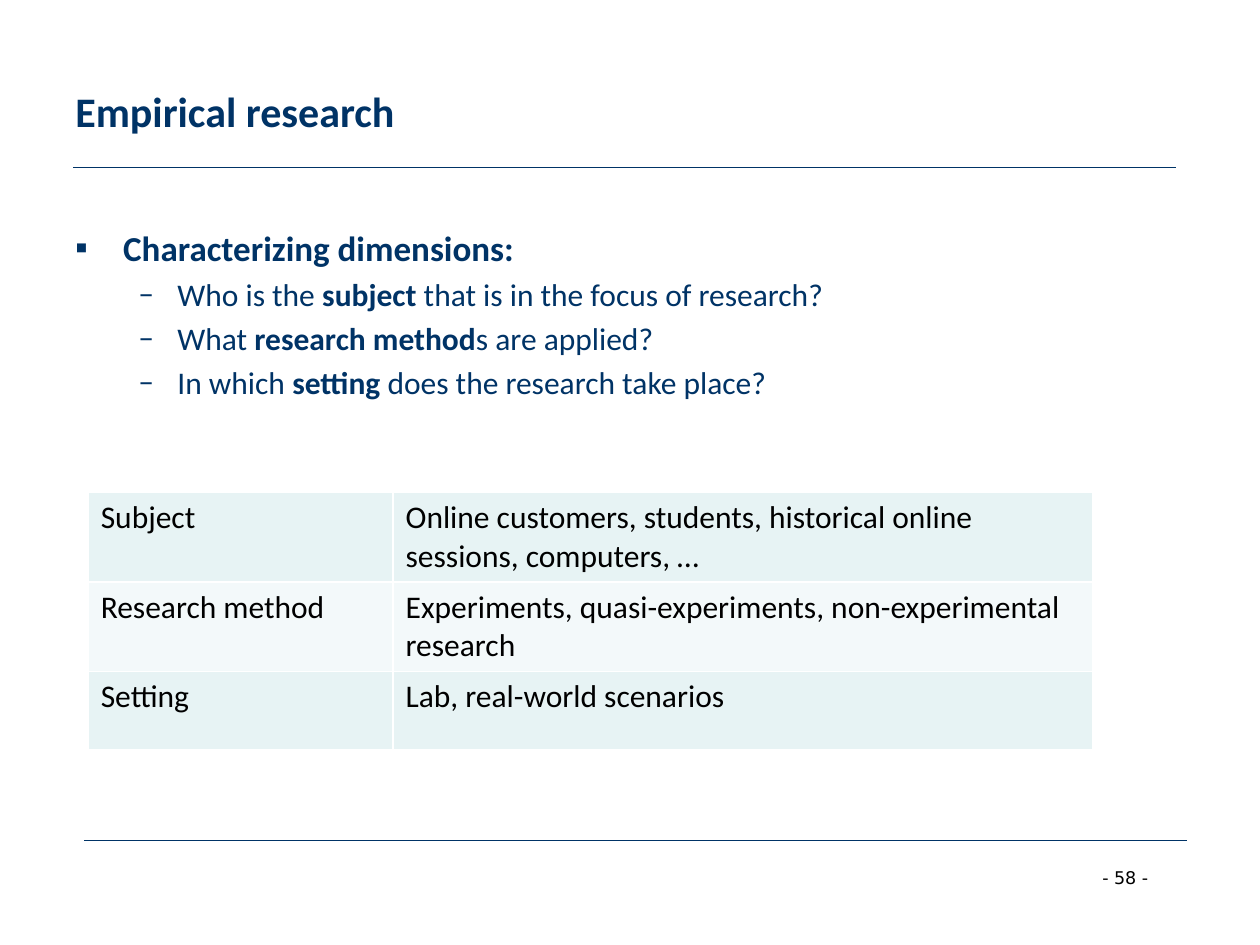
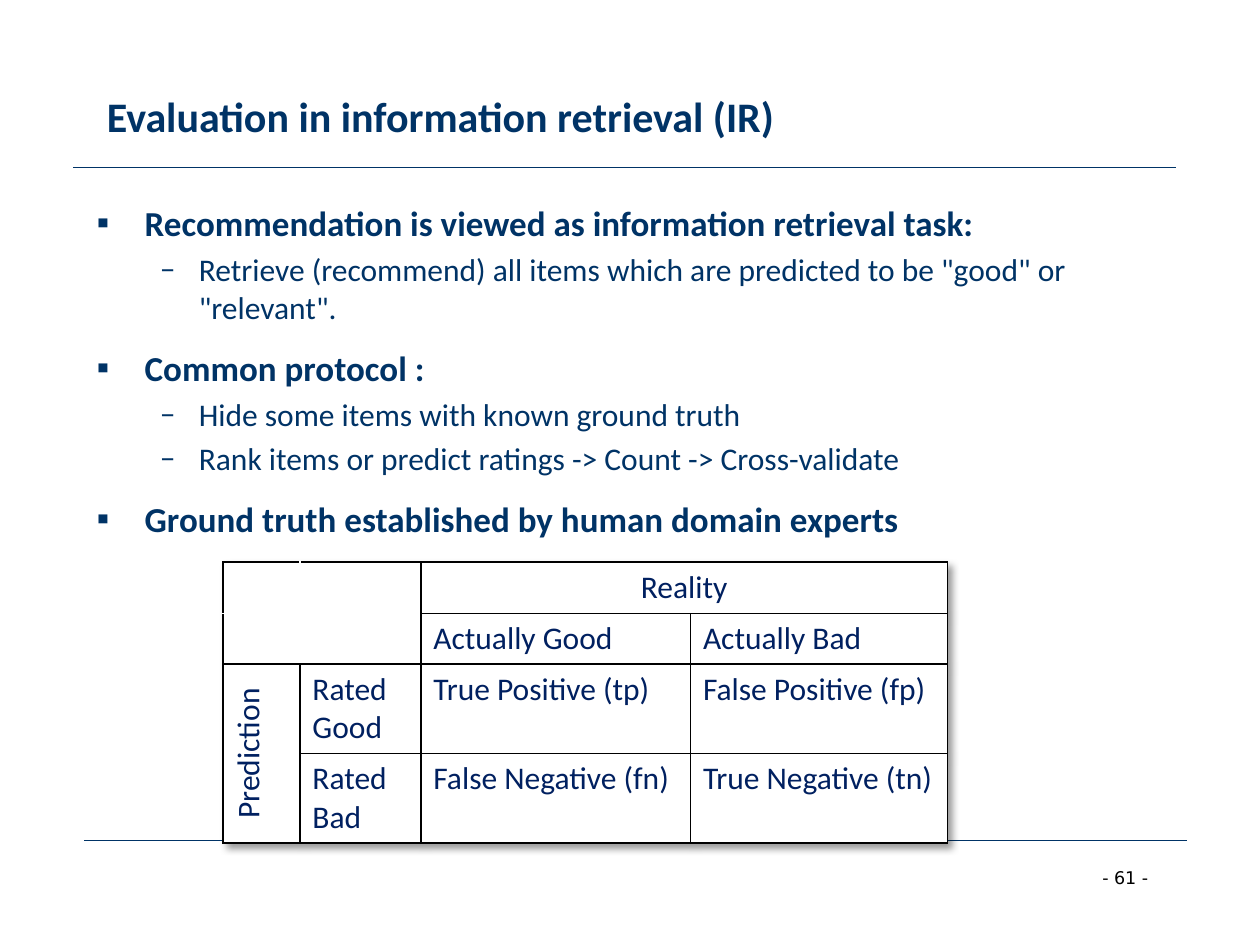
from lxml.etree import SubElement
from pptx import Presentation
from pptx.dml.color import RGBColor
from pptx.enum.shapes import MSO_CONNECTOR
from pptx.enum.text import MSO_ANCHOR, PP_ALIGN
from pptx.oxml import parse_xml
from pptx.oxml.ns import nsdecls, qn
from pptx.util import Pt

PX = 9144
FONT = "Calibri"
INK = {"navy": "003366", "deep": "002060", "black": "000000",
       "white": "FFFFFF", "mint": "E7F3F4", "pale": "F3F9FA"}
LEVELS = [
    {"mark": "▪", "left": 38, "hang": 38, "size": 20, "before": 12, "bold": True},
    {"mark": "–", "left": 81, "hang": 31, "size": 18, "before": 3.6, "bold": False},
]
SHADOW = (f'<a:effectLst {nsdecls("a")}><a:outerShdw blurRad="50800" dist="38100" '
          'dir="2700000" algn="tl" rotWithShape="0"><a:srgbClr val="000000">'
          '<a:alpha val="40000"/></a:srgbClr></a:outerShdw></a:effectLst>')


def write(para, text, size=18, color="navy", bold=False, font=FONT, align=None):
    """Fill a paragraph with text; parts between asterisks switch weight."""
    para.alignment = align
    for turn, part in enumerate(text.split("*")):
        run = para.add_run()
        run.text = part
        run.font.name = font
        run.font.size = Pt(size)
        run.font.bold = bold != bool(turn % 2)
        run.font.color.rgb = RGBColor.from_string(INK[color])


class Deck:
    """Hold the style and the current slide."""

    def __init__(self):
        """Start a 10 by 7.5 inch file."""
        self.file = Presentation()
        self.file.slide_width, self.file.slide_height = 1000 * PX, 750 * PX
        self.slide = None

    def page(self, number, title, box):
        """Add a slide with its rules, page number and title."""
        self.slide = self.file.slides.add_slide(self.file.slide_layouts[6])
        self.rule(58, 133)
        frame = self.frame(865, 683, 76, 27, wrap=False)
        write(frame.paragraphs[0], f"- {number} -", size=10, color="black", font="DejaVu Sans")
        self.rule(67, 667)
        frame = self.frame(*box)
        frame.vertical_anchor = MSO_ANCHOR.MIDDLE
        write(frame.paragraphs[0], title, size=24, bold=True)

    def frame(self, left, top, width, height, wrap=True):
        """Add a text box and return its frame."""
        box = self.slide.shapes.add_textbox(left * PX, top * PX, width * PX, height * PX)
        box.text_frame.word_wrap = wrap
        return box.text_frame

    def rule(self, left, top, width=875):
        """Draw a thin level line."""
        line = self.slide.shapes.add_connector(
            MSO_CONNECTOR.STRAIGHT, left * PX, top * PX, (left + width) * PX, top * PX)
        line.line.color.rgb = RGBColor.from_string(INK["navy"])
        line.line.width = Pt(0.75)
        SubElement(line.element.spPr, qn("a:effectLst"))

    def points(self, box, items):
        """Write a list of (level, text) items with bullets."""
        frame = self.frame(*box)
        for index, (level, text) in enumerate(items):
            para = frame.add_paragraph() if index else frame.paragraphs[0]
            form = LEVELS[level]
            props = para._p.get_or_add_pPr()
            props.set("marL", str(form["left"] * PX))
            props.set("indent", str(-form["hang"] * PX))
            SubElement(props, qn("a:buFont"), typeface=FONT)
            SubElement(props, qn("a:buChar"), char=form["mark"])
            if index:
                para.space_before = Pt(form["before"])
            write(para, text, size=form["size"], bold=form["bold"])

    def grid(self, left, top, cols, rows, cells, fills, edge, color,
             spans=(), center=(), sides=None):
        """Add a table; fills repeat by row, sides limit the lines of a cell."""
        table = self.slide.shapes.add_table(
            len(rows), len(cols), left * PX, top * PX, sum(cols) * PX, sum(rows) * PX).table
        table.first_row = table.horz_banding = False
        for col, width in zip(table.columns, cols):
            col.width = width * PX
        for row, height in zip(table.rows, rows):
            row.height = height * PX
        for y, texts in enumerate(cells):
            for x, text in enumerate(texts):
                cell = table.cell(y, x)
                self.border(cell, edge, (sides or {}).get((y, x), "LRTB"))
                cell.fill.solid()
                cell.fill.fore_color.rgb = RGBColor.from_string(INK[fills[y % len(fills)]])
                if text:
                    align = PP_ALIGN.CENTER if text in center else None
                    write(cell.text_frame.paragraphs[0], text, color=color, align=align)
        for start, end in spans:
            table.cell(*start).merge(table.cell(*end))
        return table

    def border(self, cell, color, sides):
        """Line the given sides of a cell."""
        props = cell._tc.get_or_add_tcPr()
        for side in sides:
            line = SubElement(props, qn(f"a:ln{side}"), w=str(Pt(1)))
            SubElement(SubElement(line, qn("a:solidFill")), qn("a:srgbClr"), val=INK[color])


def main():
    """Build both slides and save them."""
    deck = Deck()

    deck.page(58, "Empirical research", (50, 25, 900, 125))
    deck.points((50, 175, 900, 495), [
        (0, "Characterizing dimensions:"),
        (1, "Who is the *subject* that is in the focus of research?"),
        (1, "What *research method*s are applied?"),
        (1, "In which *setting* does the research take place?"),
    ])
    deck.grid(70, 391, [242, 555], [71, 71, 62], [
        ["Subject", "Online customers, students, historical online sessions, computers, …"],
        ["Research method", "Experiments, quasi-experiments, non-experimental research"],
        ["Setting", "Lab, real-world scenarios"],
    ], fills=["mint", "pale"], edge="white", color="black")

    deck.page(61, "Evaluation in information retrieval (IR)", (75, 29, 646, 125))
    deck.points((67, 155, 803, 496), [
        (0, "Recommendation is viewed as information retrieval task:"),
        (1, 'Retrieve (recommend) all items which are predicted to be "good" or "relevant".'),
        (0, "Common protocol :"),
        (1, "Hide some items with known ground truth"),
        (1, "Rank items or predict ratings -> Count -> Cross-validate"),
        (0, "Ground truth established by human domain experts"),
    ])
    table = deck.grid(177, 446, [61, 96, 214, 204], [41, 40, 71, 71], [
        ["", "", "Reality", ""],
        ["", "", "Actually Good", "Actually Bad"],
        ["Prediction", "Rated Good", "True Positive (tp)", "False Positive (fp)"],
        ["", "Rated Bad", "False Negative (fn)", "True Negative (tn)"],
    ], fills=["white"], edge="black", color="deep", center=["Reality", "Prediction"],
        spans=[((0, 2), (0, 3)), ((2, 0), (3, 0))],
        sides={(0, 0): "LT", (0, 1): "RT", (1, 0): "LB", (1, 1): "RB"})
    table.cell(2, 0)._tc.get_or_add_tcPr().set("vert", "vert270")
    table._tbl.tblPr.insert(0, parse_xml(SHADOW))

    deck.file.save("out.pptx")


if __name__ == "__main__":
    main()
